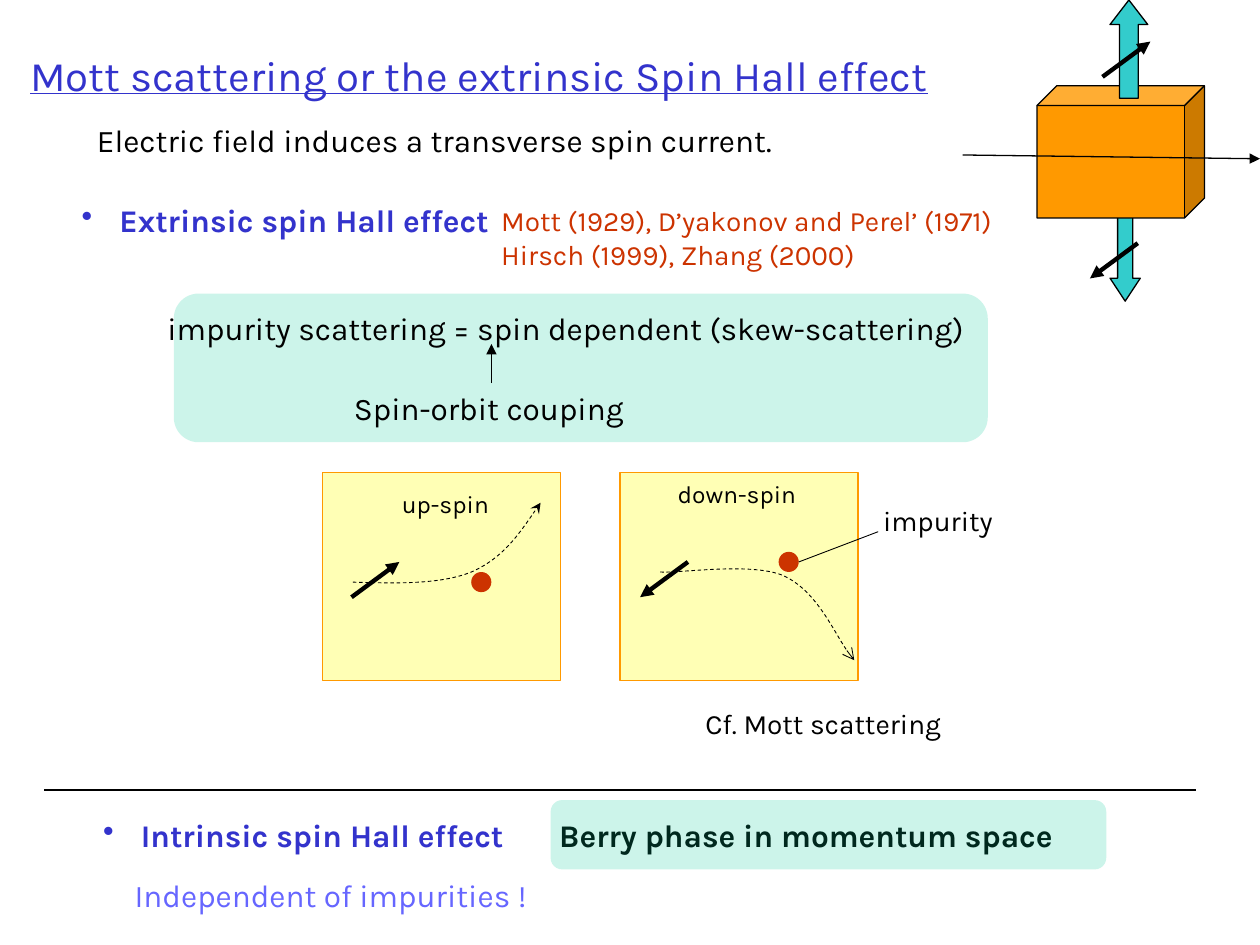
from lxml import etree
from pptx import Presentation
from pptx.dml.color import RGBColor
from pptx.enum.dml import MSO_LINE
from pptx.enum.shapes import MSO_CONNECTOR, MSO_SHAPE
from pptx.oxml.ns import qn
from pptx.util import Inches, Pt

STRAIGHT = MSO_CONNECTOR.STRAIGHT
RECTANGLE = MSO_SHAPE.RECTANGLE
ROUNDED = MSO_SHAPE.ROUNDED_RECTANGLE
UP_ARROW = MSO_SHAPE.UP_ARROW
CUBE = MSO_SHAPE.CUBE
OVAL = MSO_SHAPE.OVAL
DASH = MSO_LINE.DASH

BLACK = RGBColor(0x00, 0x00, 0x00)
BLUE = RGBColor(0x33, 0x33, 0xCC)
LIGHT_BLUE = RGBColor(0x66, 0x66, 0xFF)
RED = RGBColor(0xCC, 0x33, 0x00)
ORANGE = RGBColor(0xFF, 0x99, 0x00)
YELLOW = RGBColor(0xFF, 0xFF, 0x00)
TEAL = RGBColor(0x33, 0xCC, 0xCC)
GREEN = RGBColor(0x00, 0xCC, 0x99)
FONT = "Karla"


def add_text(slide, left, top, width, height, text, *, size=18, color=BLACK,
             bold=False, underline=False, bullet=False):
    box = slide.shapes.add_textbox(Inches(left), Inches(top), Inches(width), Inches(height))
    frame = box.text_frame
    frame.word_wrap = True
    for index, line in enumerate(text.split("\n")):
        paragraph = frame.add_paragraph() if index else frame.paragraphs[0]
        if bullet:
            properties = paragraph._p.get_or_add_pPr()
            properties.set("marL", str(Inches(0.3)))
            properties.set("indent", str(Inches(-0.3)))
            etree.SubElement(properties, qn("a:buChar"), char="•")
        run = paragraph.add_run()
        run.text = line
        run.font.name = FONT
        run.font.size = Pt(size)
        run.font.color.rgb = color
        run.font.bold = bold
        run.font.underline = underline
    return box


def add_block(slide, kind, left, top, width, height, fill, *, outline=None,
              opacity=None, adjustments=(), rotation=0):
    block = slide.shapes.add_shape(kind, Inches(left), Inches(top), Inches(width), Inches(height))
    block.shadow.inherit = False
    block.rotation = rotation
    for index, value in enumerate(adjustments):
        block.adjustments[index] = value
    block.fill.solid()
    block.fill.fore_color.rgb = fill
    if opacity:
        color = block.element.spPr.find(qn("a:solidFill"))[0]
        etree.SubElement(color, qn("a:alpha"), val=str(opacity * 1000))
    if outline is None:
        block.line.fill.background()
    else:
        block.line.color.rgb = outline
        block.line.width = Pt(0.75)
    return block


def style_line(stroke, weight, head, dash=None):
    stroke.line.color.rgb = BLACK
    stroke.line.width = Pt(weight)
    if dash:
        stroke.line.dash_style = dash
    if head:
        outline = stroke.element.spPr.find(qn("a:ln"))
        etree.SubElement(outline, qn("a:tailEnd"), type=head)


def add_line(slide, start, end, *, weight=0.75, head=None):
    line = slide.shapes.add_connector(STRAIGHT, *map(Inches, start + end))
    style_line(line, weight, head)
    etree.SubElement(line.element.spPr, qn("a:effectLst"))
    return line


def add_spin(slide, left, top, up):
    low, high = (left, top + 0.28), (left + 0.38, top)
    start, end = (low, high) if up else (high, low)
    add_line(slide, start, end, weight=2.5, head="triangle")


def add_trajectory(slide, points, head):
    corners = [tuple(map(Inches, point)) for point in points]
    builder = slide.shapes.build_freeform(*corners[0])
    builder.add_line_segments(corners[1:], close=False)
    trajectory = builder.convert_to_shape()
    trajectory.shadow.inherit = False
    trajectory.fill.background()
    segments = list(trajectory.element.spPr.iter(qn("a:lnTo")))
    for first in range(0, len(segments), 3):
        curve = etree.Element(qn("a:cubicBezTo"))
        segments[first].addprevious(curve)
        for segment in segments[first:first + 3]:
            curve.append(segment[0])
            segment.getparent().remove(segment)
    style_line(trajectory, 0.5, head, DASH)


def add_hall_sample(slide):
    add_block(slide, UP_ARROW, 8.81, 1.66, 0.24, 0.73, TEAL, outline=BLACK,
              adjustments=(0.5, 0.76), rotation=180)
    add_block(slide, CUBE, 8.23, 0.68, 1.33, 1.05, ORANGE, outline=BLACK, adjustments=(0.15,))
    add_line(slide, (7.64, 1.23), (10, 1.26), head="triangle")
    add_spin(slide, 8.65, 1.93, up=False)
    add_block(slide, UP_ARROW, 8.81, 0, 0.3, 0.78, TEAL, outline=BLACK, adjustments=(0.5, 0.65))
    add_spin(slide, 8.75, 0.33, up=True)


def add_scattering(slide):
    for left in (2.56, 4.92):
        add_block(slide, RECTANGLE, left, 3.75, 1.89, 1.65, YELLOW, outline=ORANGE, opacity=29)
    add_spin(slide, 2.79, 4.46, up=True)
    add_spin(slide, 5.08, 4.46, up=False)
    add_trajectory(slide, [(2.8, 4.62), (3.14, 4.63), (3.49, 4.64), (3.74, 4.54),
                           (3.99, 4.43), (4.14, 4.21), (4.29, 3.99)], "stealth")
    add_trajectory(slide, [(5.24, 4.54), (5.4, 4.55), (5.97, 4.46), (6.22, 4.57),
                           (6.48, 4.69), (6.66, 5.11), (6.78, 5.24)], "arrow")
    for left, top in ((3.74, 4.54), (6.18, 4.38)):
        add_block(slide, OVAL, left, top, 0.16, 0.16, RED)
    add_text(slide, 3.09, 3.83, 0.89, 0.34, "up-spin", size=14)
    add_text(slide, 5.28, 3.75, 1.16, 0.34, "down-spin", size=14)
    add_line(slide, (6.34, 4.46), (6.97, 4.22), weight=0.5)
    add_text(slide, 6.91, 3.95, 1.08, 0.37, "impurity", size=16)
    add_text(slide, 5.5, 5.56, 2.13, 0.37, "Cf. Mott scattering", size=16)


def add_extrinsic_effect(slide):
    add_text(slide, 0.55, 1.55, 3.44, 0.4, "Extrinsic spin Hall effect",
             color=BLUE, bold=True, bullet=True)
    add_text(slide, 3.88, 1.57, 4.4, 0.64,
             "Mott (1929), D’yakonov and Perel’ (1971)\nHirsch (1999), Zhang (2000)",
             size=16, color=RED)
    add_block(slide, ROUNDED, 1.38, 2.33, 6.46, 1.18, GREEN, opacity=20)
    add_text(slide, 1.23, 2.4, 6.67, 0.4,
             "impurity scattering = spin dependent (skew-scattering)")
    coupling = add_text(slide, 2.71, 3.04, 2.38, 0.4, "Spin-orbit couping")
    cause = add_line(slide, (3.9, 3.04), (3.9, 2.73), head="triangle")
    cause.begin_connect(coupling, 0)


def add_intrinsic_effect(slide):
    add_line(slide, (0.35, 6.27), (9.49, 6.27))
    add_text(slide, 0.72, 6.43, 3.6, 0.4, "Intrinsic spin Hall effect",
             color=BLUE, bold=True, bullet=True)
    add_text(slide, 4.34, 6.43, 4.3, 0.4, "Berry phase in momentum space", bold=True)
    add_block(slide, ROUNDED, 4.37, 6.35, 4.41, 0.55, GREEN, opacity=20)
    add_text(slide, 0.97, 6.9, 3.41, 0.4, "Independent of impurities !", color=LIGHT_BLUE)


def main():
    presentation = Presentation()
    presentation.slide_width = Inches(10)
    presentation.slide_height = Inches(7.5)
    slide = presentation.slides.add_slide(presentation.slide_layouts[6])
    add_text(slide, 0.14, 0.34, 7.46, 0.5, "Mott scattering or the extrinsic Spin Hall effect",
             size=24, color=BLUE, underline=True)
    add_text(slide, 0.67, 0.91, 5.65, 0.4, "Electric field induces a transverse spin current.")
    add_hall_sample(slide)
    add_extrinsic_effect(slide)
    add_scattering(slide)
    add_intrinsic_effect(slide)
    presentation.save("out.pptx")


if __name__ == "__main__":
    main()
